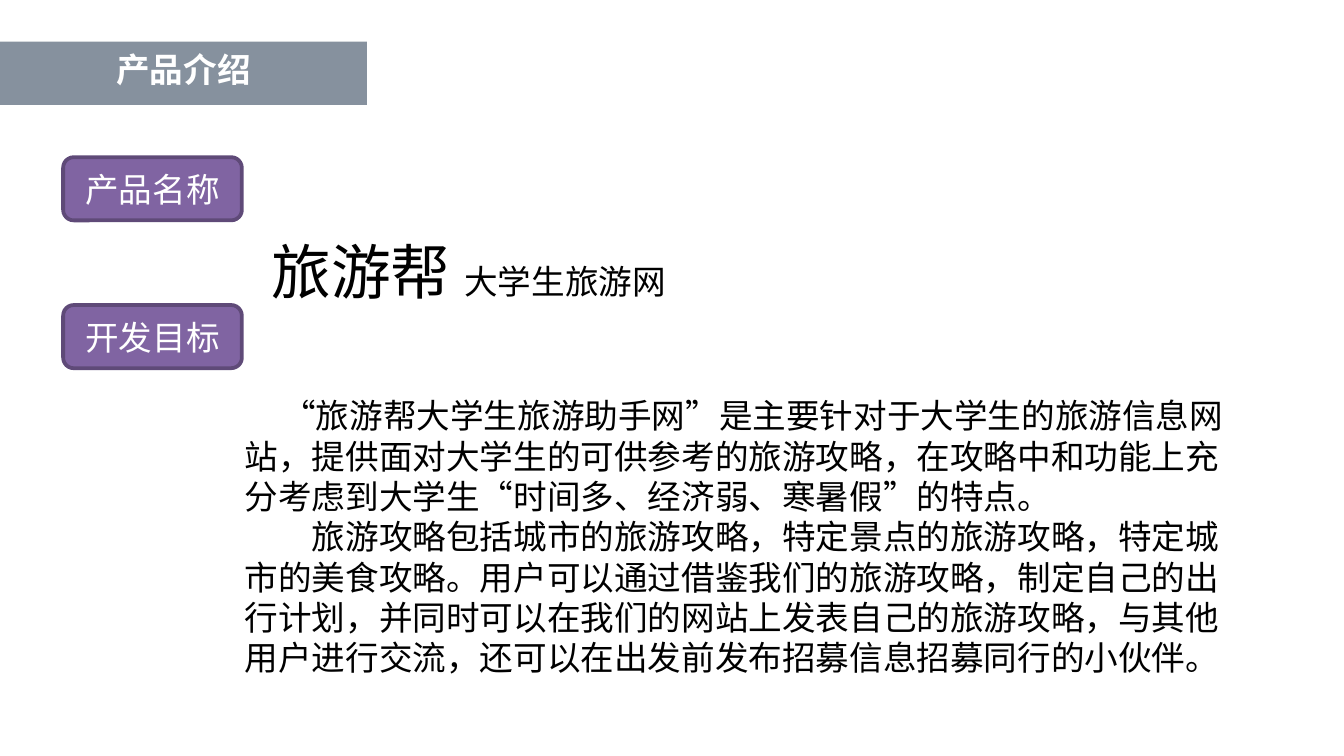
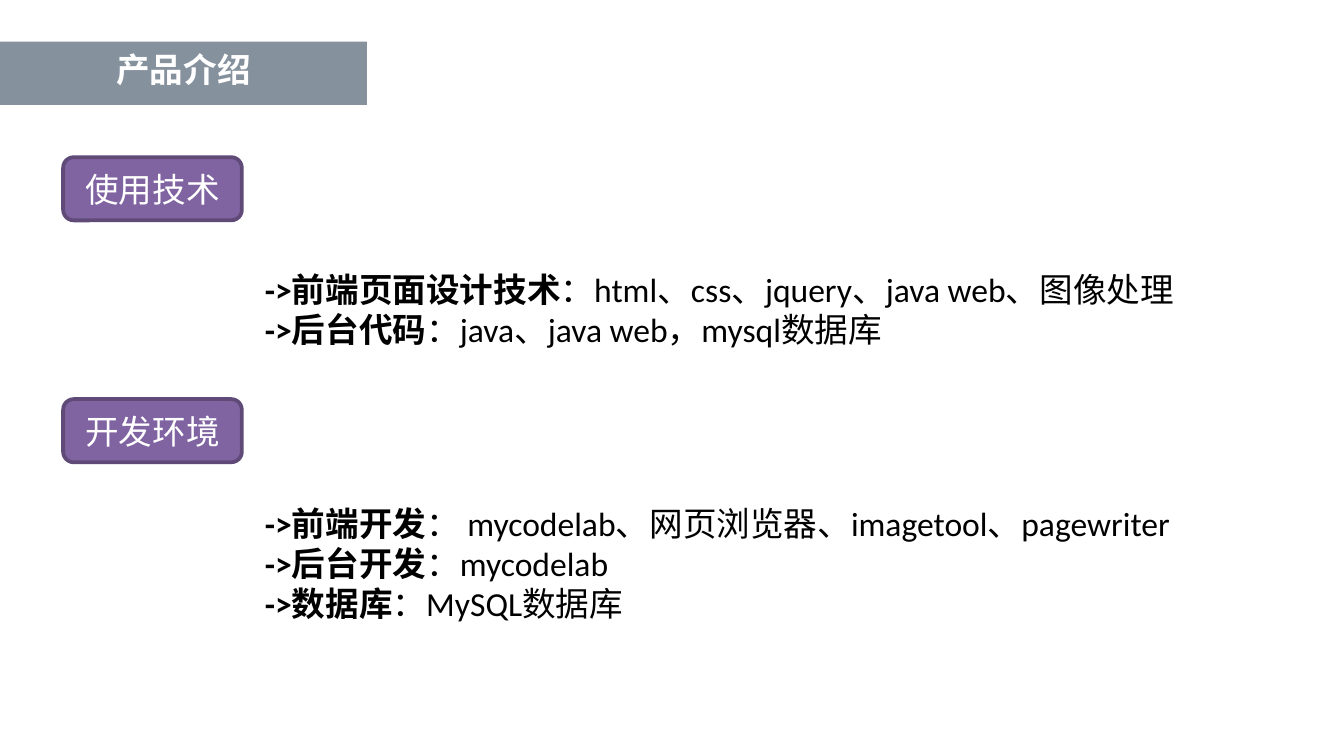
from lxml import etree
from pptx import Presentation
from pptx import util as u
from pptx.dml.color import RGBColor
from pptx.enum import shapes, text
from pptx.oxml.ns import qn

FONT = "Calibri"
HEX = {"band": "0F243E", "badge": "8064A2", "edge": "5F4A78",
       "light": "FFFFFF", "dark": "000000"}
RGB = {name: RGBColor.from_string(code) for name, code in HEX.items()}
MID, TOP = text.MSO_ANCHOR.MIDDLE, text.MSO_ANCHOR.TOP
FIXED, GROW = text.MSO_AUTO_SIZE.NONE, text.MSO_AUTO_SIZE.SHAPE_TO_FIT_TEXT
LEFT, CENTER = text.PP_ALIGN.LEFT, text.PP_ALIGN.CENTER


def write(shape, box, paras, color="dark", align=LEFT, anchor=TOP, fit=GROW,
          spacing=1.0, indents=()):
    """Move shape to box and fill it with lists of (text, size, bold) runs."""
    shape.left, shape.top, shape.width, shape.height = map(u.Inches, box)
    frame = shape.text_frame
    frame.word_wrap, frame.auto_size = True, fit
    frame.vertical_anchor = anchor
    for i, runs in enumerate(paras):
        para = frame.add_paragraph() if i else frame.paragraphs[0]
        para.alignment, para.line_spacing = align, spacing
        para.space_before = u.Pt(0)
        props = para._p.get_or_add_pPr()
        first = indents[i] if indents else 0
        props.set("marL", "0")
        props.set("indent", str(u.Inches(first)))
        etree.SubElement(props, qn("a:buNone"))
        for words, size, bold in runs:
            run = para.add_run()
            run.text = words
            run.font.name, run.font.size = FONT, u.Pt(size)
            run.font.bold = bold
            run.font.color.rgb = RGB[color]


def items(pairs):
    return [[("->" + head, 18, True), ("：" + rest, 18, False)]
            for head, rest in pairs]


name = [[("旅游帮 ", 32, False), ("大学生旅游网", 18, False)]]
goals = [
    [("“旅游帮大学生旅游助手网”是主要针对于大学生的旅游信息网站，提供面对大学生的"
      "可供参考的旅游攻略，在攻略中和功能上充分考虑到大学生“时间多、经济弱、"
      "寒暑假”的特点。", 18, False)],
    [("旅游攻略包括城市的旅游攻略，特定景点的旅游攻略，特定城市的美食攻略。"
      "用户可以通过借鉴我们的旅游攻略，制定自己的出行计划，并同时可以在我们的"
      "网站上发表自己的旅游攻略，与其他用户进行交流，还可以在出发前发布招募信息"
      "招募同行的小伙伴。", 18, False)],
]
skills = items([
    ("前端页面设计技术", "html、css、jquery、java web、图像处理"),
    ("后台代码", "java、java web，mysql数据库"),
])
tools = items([
    ("前端开发", " mycodelab、网页浏览器、imagetool、pagewriter"),
    ("后台开发", "mycodelab"),
    ("数据库", "MySQL数据库"),
])

# Each section: badge label, badge top, body box, paragraphs, first-line indents
pages = [
    [("产品名称", 1.17, (1.92, 1.7, 3.16, 0.64), name, ()),
     ("开发目标", 2.27, (1.72, 2.89, 7.5, 2.52), goals, (0.28, 0.5))],
    [("使用技术", 1.17, (1.87, 1.95, 7.05, 0.71), skills, ()),
     ("开发环境", 2.97, (1.87, 3.69, 7.5, 1.31), tools, ())],
]

deck = Presentation()
deck.slide_width = u.Inches(10)
deck.slide_height = u.Inches(10 * 9 / 16)
layout = deck.slide_layouts.get_by_name("Two Content")

for page in pages:
    slide = deck.slides.add_slide(layout)
    title, *bodies = slide.placeholders
    title.fill.solid()
    title.fill.fore_color.rgb = RGB["band"]
    tint = title._element.spPr.find(".//" + qn("a:srgbClr"))
    etree.SubElement(tint, qn("a:alpha")).set("val", "50000")
    write(title, (0, 0.31, 2.73, 0.47), [[("产品介绍", 18, True)]],
          color="light", align=CENTER, anchor=MID, fit=FIXED, spacing=0.8)

    for body, (label, top, box, paras, indents) in zip(bodies, page):
        badge = slide.shapes.add_shape(
            shapes.MSO_SHAPE.ROUNDED_RECTANGLE, 0, 0, 0, 0)
        badge.shadow.inherit = False
        badge.fill.solid()
        badge.fill.fore_color.rgb = RGB["badge"]
        badge.line.color.rgb = RGB["edge"]
        badge.line.width = u.Pt(2)
        write(badge, (0.47, top, 1.33, 0.47), [[(label, 18, False)]],
              color="light", align=CENTER, anchor=MID, fit=FIXED)
        write(body, box, paras, indents=indents)

deck.save("out.pptx")
